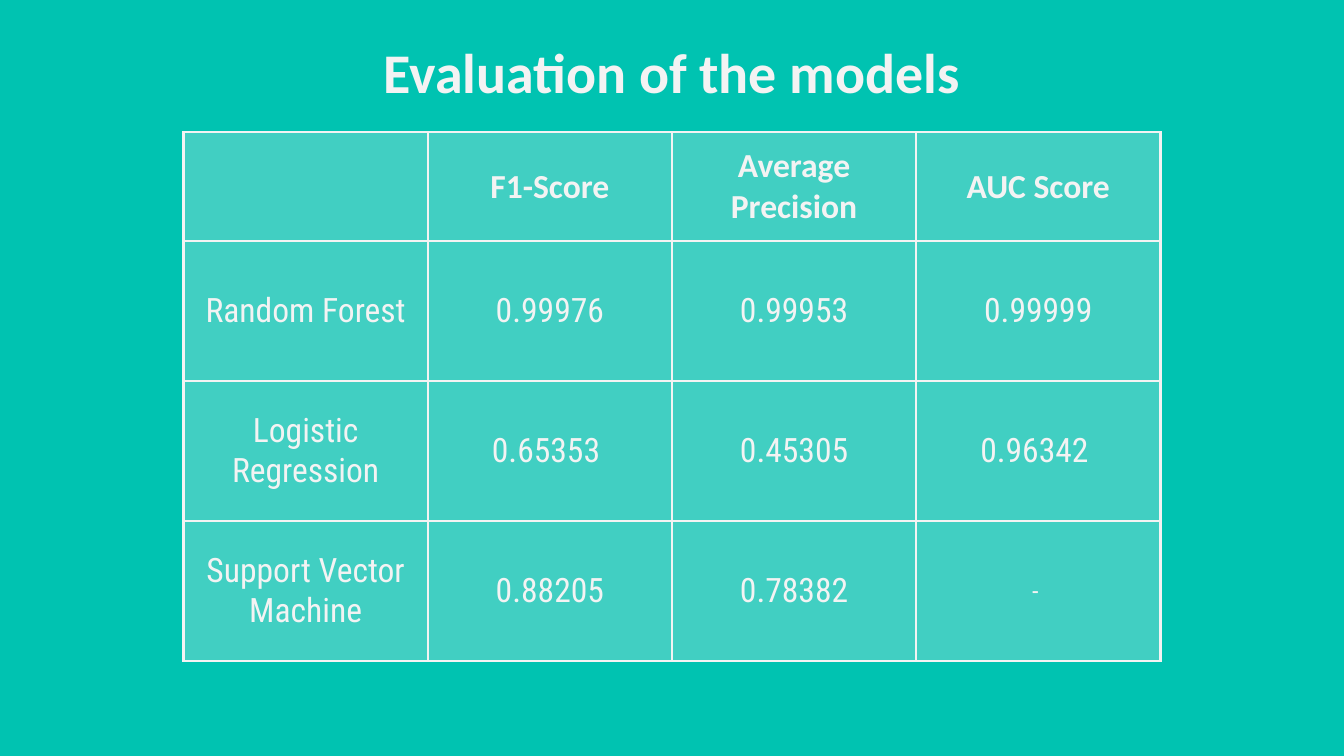
from lxml import etree
from pptx import Presentation
from pptx import util as u
from pptx.dml.color import RGBColor
from pptx.enum import text
from pptx.oxml import ns

TEAL = RGBColor(0x00, 0xC3, 0xB1)
OFF_WHITE = RGBColor(0xF3, 0xF3, 0xF3)
HEADING_FONT = "Calibri"
BODY_FONT = "Roboto Condensed"
INSET = u.Cm(0.25)
SCORES = [
    ["", "F1-Score", "Average Precision", "AUC Score"],
    ["Random Forest", "0.99976", "0.99953", "0.99999"],
    ["Logistic Regression", "0.65353 ", "0.45305", "0.96342 "],
    ["Support Vector Machine", "0.88205", "0.78382", "- "],
]


def format_text(frame, size, font_name, bold):
    """Centre the text of a frame and set its font."""
    for paragraph in frame.paragraphs:
        paragraph.alignment = text.PP_ALIGN.CENTER
        for run in paragraph.runs:
            run.font.size = u.Pt(size)
            run.font.name = font_name
            run.font.bold = bold
            run.font.color.rgb = OFF_WHITE


def style_cell(cell):
    """Give a cell a translucent fill and a thin border on each side."""
    cell.fill.solid()
    cell.fill.fore_color.rgb = OFF_WHITE
    properties = cell._tc.get_or_add_tcPr()
    fill_color = properties.find(ns.qn("a:solidFill")).find(ns.qn("a:srgbClr"))
    etree.SubElement(fill_color, ns.qn("a:alpha"), val="27000")
    for index, side in enumerate(["lnL", "lnR", "lnT", "lnB"]):
        line = etree.Element(ns.qn(f"a:{side}"), w=str(u.Pt(1.5)))
        line_fill = etree.SubElement(line, ns.qn("a:solidFill"))
        etree.SubElement(line_fill, ns.qn("a:srgbClr"), val=str(OFF_WHITE))
        properties.insert(index, line)
    cell.vertical_anchor = text.MSO_ANCHOR.MIDDLE
    cell.margin_left = cell.margin_right = INSET
    cell.margin_top = cell.margin_bottom = INSET


def place_title(slide, title, left, top, width, height):
    """Place the slide title in the given box."""
    shape = slide.shapes.title
    shape.left, shape.top, shape.width, shape.height = left, top, width, height
    frame = shape.text_frame
    frame.text = title
    frame.word_wrap = True
    frame.auto_size = text.MSO_AUTO_SIZE.NONE
    frame.vertical_anchor = text.MSO_ANCHOR.TOP
    frame.margin_left = frame.margin_right = INSET
    frame.margin_top = frame.margin_bottom = INSET
    format_text(frame, 30, HEADING_FONT, True)


def place_scores(slide, scores, left, top, width, height):
    """Place the table of model scores in the given box."""
    header_height = u.Cm(2.06)
    row_height = (height - header_height) // (len(scores) - 1)
    table = slide.shapes.add_table(
        len(scores), len(scores[0]), left, top, width, height).table
    for column in table.columns:
        column.width = width // len(scores[0])
    for row_index, values in enumerate(scores):
        is_header = row_index == 0
        table.rows[row_index].height = header_height if is_header else row_height
        for column_index, value in enumerate(values):
            cell = table.cell(row_index, column_index)
            cell.text_frame.text = value
            style_cell(cell)
            size = 14 if value.strip() == "-" else 18
            font_name = HEADING_FONT if is_header else BODY_FONT
            format_text(cell.text_frame, size, font_name, is_header)


def build_evaluation_slide(presentation):
    """Add the slide that compares the models."""
    slide = presentation.slides.add_slide(presentation.slide_layouts[5])
    slide.background.fill.solid()
    slide.background.fill.fore_color.rgb = TEAL
    place_title(slide, "Evaluation of the models",
                u.Cm(2), u.Cm(0.45), u.Cm(21.4), u.Cm(1.6))
    place_scores(slide, SCORES, u.Cm(3.47), u.Cm(2.5), u.Cm(18.46), u.Cm(10))


presentation = Presentation()
presentation.slide_width = u.Cm(25.4)
presentation.slide_height = u.Cm(14.29)
build_evaluation_slide(presentation)
presentation.save("out.pptx")
